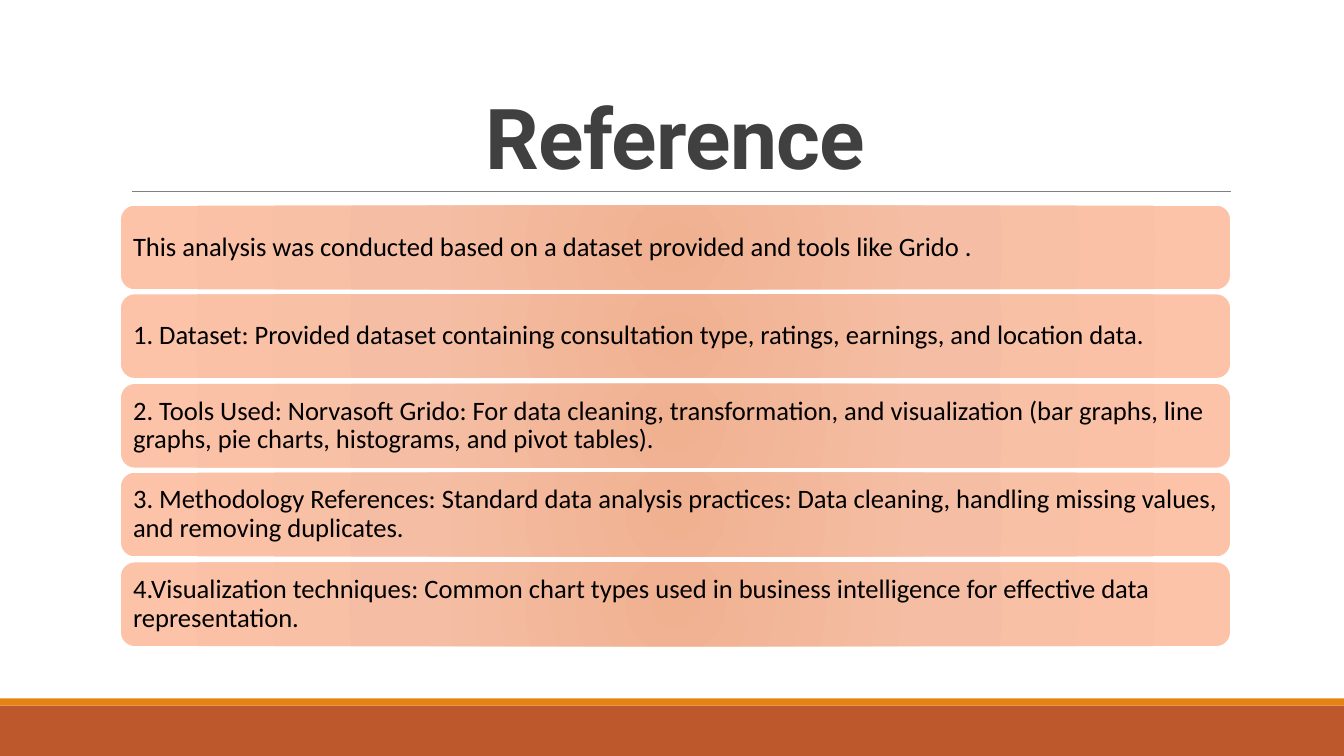
from lxml import etree
from pptx import Presentation
from pptx.dml.color import RGBColor
from pptx.enum.shapes import MSO_CONNECTOR, MSO_SHAPE
from pptx.enum.text import MSO_ANCHOR, PP_ALIGN
from pptx.oxml import parse_xml
from pptx.oxml.ns import nsdecls, qn
from pptx.util import Pt

RECTANGLE = MSO_SHAPE.RECTANGLE
ROUNDED = MSO_SHAPE.ROUNDED_RECTANGLE
STRAIGHT = MSO_CONNECTOR.STRAIGHT
LEFT, CENTER = PP_ALIGN.LEFT, PP_ALIGN.CENTER
MIDDLE, BOTTOM = MSO_ANCHOR.MIDDLE, MSO_ANCHOR.BOTTOM

EMU_PER_PX = 9144  # 100 px to the inch
SLIDE_WIDTH, SLIDE_HEIGHT = 1333, 750
CARD_TOP, CARD_HEIGHT, TWO_CARD_STEPS = 204, 83, 177
COLORS = {
    "title": "404040",
    "text": "000000",
    "rule": "808080",
    "footer": "BD582C",
    "accent": "E48312",
    "card_center": "F0B191",
    "card_middle": "F5BEA4",
    "card_edge": "FDC3A8",
}
CARD_STOPS = [(0, "card_center"), (45, "card_middle"), (100, "card_edge")]
REFERENCES = [
    "This analysis was conducted based on a dataset provided and tools like Grido .",
    "1. Dataset: Provided dataset containing consultation type, ratings, earnings, "
    "and location data.",
    "2. Tools Used: Norvasoft Grido: For data cleaning, transformation, and visualization "
    "(bar graphs, line graphs, pie charts, histograms, and pivot tables).",
    "3. Methodology References: Standard data analysis practices: Data cleaning, "
    "handling missing values, and removing duplicates.",
    "4.Visualization techniques: Common chart types used in business intelligence "
    "for effective data representation.",
]


def px(*lengths):
    return [length * EMU_PER_PX for length in lengths]


def color(name):
    return RGBColor.from_string(COLORS[name])


class SlideBuilder:
    def __init__(self, page):
        self.page = page

    def block(self, kind, left, top, width, height, fill):
        shape = self.page.shapes.add_shape(kind, *px(left, top, width, height))
        shape.shadow.inherit = False
        shape.fill.solid()
        shape.fill.fore_color.rgb = color(fill)
        shape.line.fill.background()
        return shape

    def rule(self, left, right, top):
        line = self.page.shapes.add_connector(STRAIGHT, *px(left, top, right, top))
        line.line.color.rgb = color("rule")
        line.line.width = Pt(0.5)
        etree.SubElement(line._element.spPr, qn("a:effectLst"))

    def add_text(self, shape, text, font, size, ink, align, anchor, spacing):
        frame = shape.text_frame
        frame.word_wrap = True
        frame.vertical_anchor = anchor
        para = frame.paragraphs[0]
        para.alignment = align
        para.line_spacing = spacing
        span = para.add_run()
        span.text = text
        span.font.name = font
        span.font.size = Pt(size)
        span.font.color.rgb = color(ink)
        return span

    def title(self, text, left, top, width, height):
        box = self.page.shapes.add_textbox(*px(left, top, width, height))
        span = self.add_text(box, text, "Roboto", 60, "title", CENTER, BOTTOM, 0.85)
        span.font.bold = True
        span.font._element.set("spc", "-50")

    def radial_fill(self, shape, stops):
        """Swap the solid fill for a gradient running out from the centre."""
        marks = "".join(
            f'<a:gs pos="{percent * 1000}"><a:srgbClr val="{COLORS[name]}"/></a:gs>'
            for percent, name in stops
        )
        gradient = parse_xml(
            f'<a:gradFill {nsdecls("a")} rotWithShape="1"><a:gsLst>{marks}</a:gsLst>'
            '<a:path path="circle">'
            '<a:fillToRect l="100000" t="100000" r="100000" b="100000"/>'
            "</a:path></a:gradFill>"
        )
        properties = shape._element.spPr
        properties.replace(properties.find(qn("a:solidFill")), gradient)

    def card(self, text, left, top, width, height):
        card = self.block(ROUNDED, left, top, width, height, "card_middle")
        self.radial_fill(card, CARD_STOPS)
        frame = card.text_frame
        frame.margin_left, frame.margin_top, frame.margin_right, frame.margin_bottom = px(8, 8, 8, 8)
        self.add_text(card, text, "Calibri", 19, "text", LEFT, MIDDLE, 0.9)


def main():
    deck = Presentation()
    deck.slide_width, deck.slide_height = px(SLIDE_WIDTH, SLIDE_HEIGHT)
    builder = SlideBuilder(deck.slides.add_slide(deck.slide_layouts[6]))

    builder.block(RECTANGLE, 0, 700, SLIDE_WIDTH, 50, "footer")
    builder.block(RECTANGLE, 0, 693, SLIDE_WIDTH, 7, "accent")
    builder.rule(131, 1221, 190)
    builder.title("Reference", 120, 31, 1100, 159)
    for index, reference in enumerate(REFERENCES):
        top = CARD_TOP + index * TWO_CARD_STEPS // 2
        builder.card(reference, 120, top, 1100, CARD_HEIGHT)

    deck.save("out.pptx")


if __name__ == "__main__":
    main()
